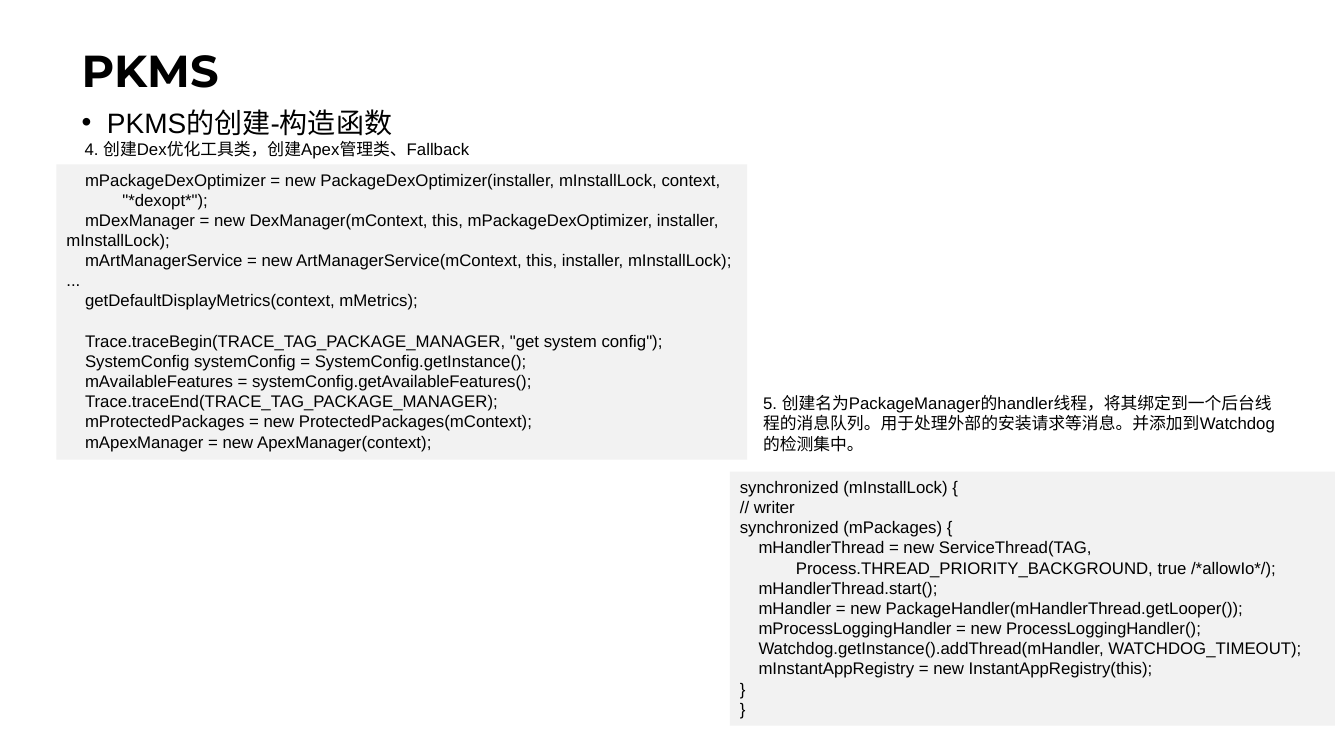
from dataclasses import dataclass

from lxml import etree
from pptx import Presentation
from pptx.dml.color import RGBColor
from pptx.enum.shapes import MSO_SHAPE
from pptx.enum.text import MSO_ANCHOR, MSO_AUTO_SIZE, PP_ALIGN
from pptx.oxml.ns import qn
from pptx.util import Inches, Pt

BLACK = RGBColor(0x00, 0x00, 0x00)
CODE_GRAY = RGBColor(0xF2, 0xF2, 0xF2)
RECTANGLE = MSO_SHAPE.RECTANGLE
LEFT = PP_ALIGN.LEFT
TOP, MIDDLE = MSO_ANCHOR.TOP, MSO_ANCHOR.MIDDLE
NO_AUTOFIT = MSO_AUTO_SIZE.NONE
INDENT_STEP = 0.185  # one code level, in inches
LINE_HEIGHT = 14.4  # one line of code, in points


@dataclass(frozen=True)
class Box:
    left: float
    top: float
    width: float
    height: float

    def lengths(self):
        return [Inches(v) for v in (self.left, self.top, self.width, self.height)]


@dataclass(frozen=True)
class Line:
    text: str
    level: int = 0
    gap_before: bool = False


@dataclass(frozen=True)
class Note:
    box: Box
    text: str


@dataclass(frozen=True)
class Listing:
    box: Box
    lines: tuple[Line, ...]


NOTES = (
    Note(Box(0.74, 1.33, 5.82, 0.3), "4. 创建Dex优化工具类，创建Apex管理类、Fallback"),
    Note(Box(7.47, 3.85, 5.3, 0.71),
         "5. 创建名为PackageManager的handler线程，将其绑定到一个后台线程的消息队列。"
         "用于处理外部的安装请求等消息。并添加到Watchdog的检测集中。"),
)

LISTINGS = (
    Listing(Box(0.56, 1.63, 6.85, 2.93), (
        Line("mPackageDexOptimizer = new PackageDexOptimizer(installer, mInstallLock, context,", 1),
        Line('"*dexopt*");', 3),
        Line("mDexManager = new DexManager(mContext, this, mPackageDexOptimizer, "
             "installer, mInstallLock);", 1),
        Line("mArtManagerService = new ArtManagerService(mContext, this, installer, mInstallLock);", 1),
        Line("..."),
        Line("getDefaultDisplayMetrics(context, mMetrics);", 1),
        Line('Trace.traceBegin(TRACE_TAG_PACKAGE_MANAGER, "get system config");', 1, True),
        Line("SystemConfig systemConfig = SystemConfig.getInstance();", 1),
        Line("mAvailableFeatures = systemConfig.getAvailableFeatures();", 1),
        Line("Trace.traceEnd(TRACE_TAG_PACKAGE_MANAGER);", 1),
        Line("mProtectedPackages = new ProtectedPackages(mContext);", 1),
        Line("mApexManager = new ApexManager(context);", 1),
    )),
    Listing(Box(7.24, 4.68, 6, 2.52), (
        Line("synchronized (mInstallLock) {"),
        Line("// writer"),
        Line("synchronized (mPackages) {"),
        Line("mHandlerThread = new ServiceThread(TAG,", 1),
        Line("Process.THREAD_PRIORITY_BACKGROUND, true /*allowIo*/);", 3),
        Line("mHandlerThread.start();", 1),
        Line("mHandler = new PackageHandler(mHandlerThread.getLooper());", 1),
        Line("mProcessLoggingHandler = new ProcessLoggingHandler();", 1),
        Line("Watchdog.getInstance().addThread(mHandler, WATCHDOG_TIMEOUT);", 1),
        Line("mInstantAppRegistry = new InstantAppRegistry(this);", 1),
        Line("}"),
        Line("}"),
    )),
)


def place(shape, box: Box) -> None:
    shape.left, shape.top, shape.width, shape.height = box.lengths()


def write(paragraph, text: str, *, size: float = 12, font: str = "Arial",
          bold: bool = False, spacing: float = 1.0, before: float = 0,
          margin: float = 0, indent: float = 0, bullet: str = "") -> None:
    """Fill one paragraph; margin and indent are in inches."""
    paragraph.alignment = LEFT
    paragraph.line_spacing = spacing
    paragraph.space_before = Pt(before)
    run = paragraph.add_run()
    run.text = text
    run.font.name, run.font.size, run.font.bold = font, Pt(size), bold
    run.font.color.rgb = BLACK
    properties = paragraph._p.get_or_add_pPr()
    properties.set("marL", str(Inches(margin)))
    properties.set("indent", str(Inches(indent)))
    if bullet:
        etree.SubElement(properties, qn("a:buChar")).set("char", bullet)


def prepare_frame(shape, anchor=TOP):
    frame = shape.text_frame
    frame.word_wrap = True
    frame.auto_size = NO_AUTOFIT
    frame.vertical_anchor = anchor
    return frame


def add_note(slide, note: Note) -> None:
    caption = slide.shapes.add_textbox(*note.box.lengths())
    write(prepare_frame(caption).paragraphs[0], note.text)


def add_listing(slide, listing: Listing) -> None:
    panel = slide.shapes.add_shape(RECTANGLE, *listing.box.lengths())
    panel.shadow.inherit = False
    panel.fill.solid()
    panel.fill.fore_color.rgb = CODE_GRAY
    panel.line.fill.background()
    frame = prepare_frame(panel)
    for number, line in enumerate(listing.lines):
        paragraph = frame.add_paragraph() if number else frame.paragraphs[0]
        write(paragraph, line.text, indent=line.level * INDENT_STEP,
              before=LINE_HEIGHT if line.gap_before else 0)


def main() -> None:
    deck = Presentation()
    deck.slide_width, deck.slide_height = Inches(13.33), Inches(7.5)
    slide = deck.slides.add_slide(deck.slide_layouts[1])

    # Title and topic
    heading, topic = slide.placeholders
    place(heading, Box(0.71, 0, 11.5, 1.45))
    write(prepare_frame(heading, MIDDLE).paragraphs[0], "PKMS",
          size=32, font="Montserrat", bold=True, spacing=0.9)
    place(topic, Box(0.71, 1.03, 3.88, 0.42))
    write(prepare_frame(topic).paragraphs[0], "PKMS的创建-构造函数", size=20,
          spacing=0.9, before=10, margin=0.25, indent=-0.25, bullet="•")

    # Code panels
    for listing in LISTINGS:
        add_listing(slide, listing)

    # Step descriptions
    for note in NOTES:
        add_note(slide, note)

    deck.save("out.pptx")


if __name__ == "__main__":
    main()
